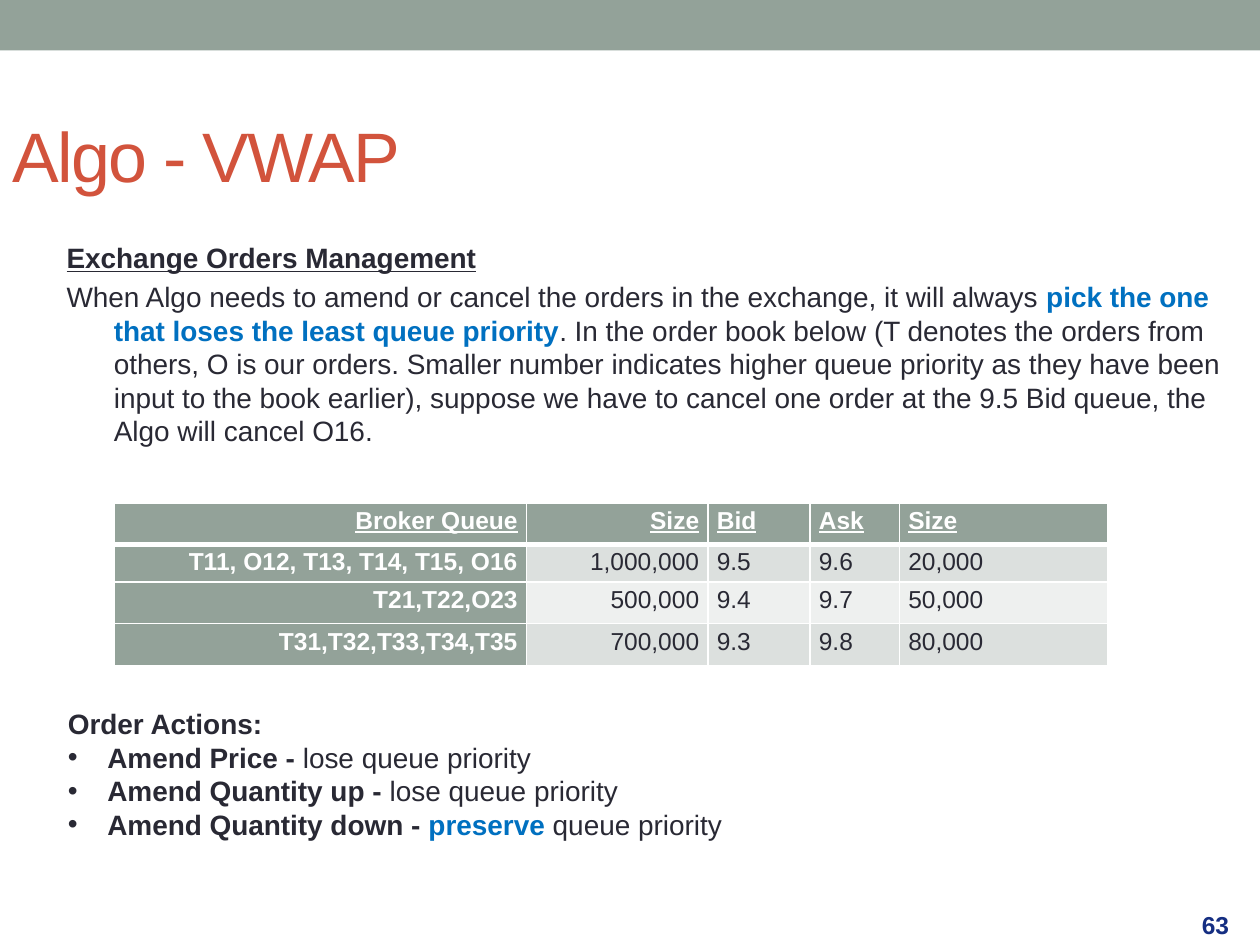
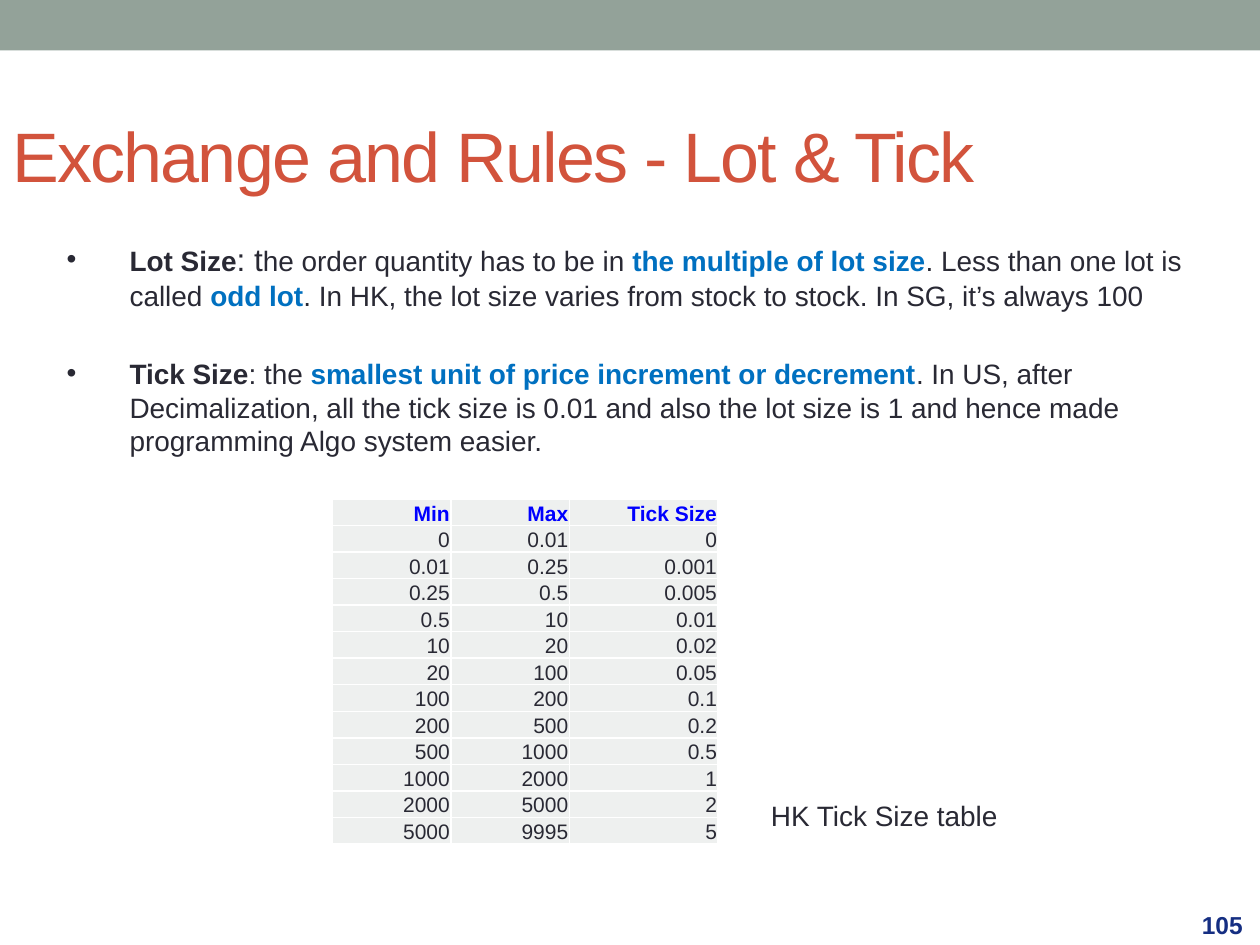
from lxml import etree
from pptx import Presentation
from pptx.dml.color import RGBColor
from pptx.enum.shapes import MSO_SHAPE
from pptx.enum.text import MSO_ANCHOR, PP_ALIGN
from pptx.oxml.ns import qn
from pptx.util import Inches, Pt

RECTANGLE = MSO_SHAPE.RECTANGLE
TOP, MIDDLE, BOTTOM = MSO_ANCHOR.TOP, MSO_ANCHOR.MIDDLE, MSO_ANCHOR.BOTTOM
LEFT, RIGHT = PP_ALIGN.LEFT, PP_ALIGN.RIGHT

SAGE = RGBColor(0x93, 0xA2, 0x99)
SAGE_MID = RGBColor(0xDC, 0xE0, 0xDE)
SAGE_PALE = RGBColor(0xEE, 0xF0, 0xEF)
RUST = RGBColor(0xD2, 0x53, 0x3C)
INK = RGBColor(0x29, 0x29, 0x34)
NAVY = RGBColor(0x15, 0x2E, 0x82)
HIGHLIGHT = RGBColor(0x00, 0x70, 0xC0)
BLUE = RGBColor(0x00, 0x00, 0xFF)
WHITE = RGBColor(0xFF, 0xFF, 0xFF)

FONT = "Arial"
COLUMNS, ROWS = 100, 75
BODY_LEFT, BODY_TOP, BODY_WIDTH = 4.3, 18.6, 94.5


def bold(text):
    return text, {"bold": True}


def key(text):
    """A highlighted phrase."""
    return text, {"bold": True, "color": HIGHLIGHT}


def style_font(font, size=None, color=None, bold=None, underline=None):
    if size:
        font.size = Pt(size)
    if color is not None:
        font.color.rgb = color
    if bold is not None:
        font.bold = bold
    if underline is not None:
        font.underline = underline


def draw_borders(cell, top=1, bottom=1):
    """White lines around a cell; widths in points."""
    properties = cell._tc.get_or_add_tcPr()
    for side, width in (("L", 1), ("R", 1), ("T", top), ("B", bottom)):
        line = etree.SubElement(properties, qn(f"a:ln{side}"), w=str(Pt(width)))
        fill = etree.SubElement(line, qn("a:solidFill"))
        etree.SubElement(fill, qn("a:srgbClr"), val=str(WHITE))


class Deck:
    def __init__(self):
        self.presentation = Presentation()
        self.presentation.slide_width = Inches(10)
        self.presentation.slide_height = Inches(7.5)
        self.column = self.presentation.slide_width / COLUMNS
        self.row = self.presentation.slide_height / ROWS
        self.slide = None

    def place(self, left, top, width, height):
        return (round(left * self.column), round(top * self.row),
                round(width * self.column), round(height * self.row))

    def new_slide(self, title, number):
        self.slide = self.presentation.slides.add_slide(
            self.presentation.slide_layouts[6])
        band = self.slide.shapes.add_shape(RECTANGLE, *self.place(0, 0, COLUMNS, 4))
        band.shadow.inherit = False
        band.fill.solid()
        band.fill.fore_color.rgb = SAGE
        band.line.fill.background()
        heading = self.text((0, 6.8, 88.3, 10.9), [[title]], anchor=MIDDLE,
                            size=40, color=RUST)
        heading.paragraphs[0].runs[0].font._element.set("spc", "-100")
        self.text((94.4, 71.4, 5.5, 3.9), [[str(number)]], anchor=MIDDLE,
                  size=14, color=NAVY, bold=True)

    def text(self, area, paragraphs, anchor=TOP, gap=0, indent=0, bullets_from=None,
             **style):
        """Write paragraphs of runs; a run is a string or a (string, style) pair."""
        frame = self.slide.shapes.add_textbox(*self.place(*area)).text_frame
        frame.word_wrap = True
        frame.vertical_anchor = anchor
        for index, runs in enumerate(paragraphs):
            paragraph = frame.paragraphs[0] if index == 0 else frame.add_paragraph()
            bulleted = bullets_from is not None and index >= bullets_from
            if indent and (bulleted or bullets_from is None):
                self.hang(paragraph, indent, bulleted)
            if index and gap:
                paragraph.space_before = Pt(gap)
            self.fill_paragraph(paragraph, runs, **style)
        return frame

    def hang(self, paragraph, indent, bulleted):
        properties = paragraph._p.get_or_add_pPr()
        margin = round(indent * self.column)
        properties.set("marL", str(margin))
        properties.set("indent", str(-margin))
        if bulleted:
            etree.SubElement(properties, qn("a:buFont"), typeface=FONT)
            etree.SubElement(properties, qn("a:buChar"), char="•")

    def fill_paragraph(self, paragraph, runs, size=16, color=INK, **style):
        paragraph.font.name = FONT
        style_font(paragraph.font, size, color, **style)
        for item in runs:
            words, run_style = (item, {}) if isinstance(item, str) else item
            run = paragraph.add_run()
            run.text = words
            style_font(run.font, **run_style)

    def table(self, left, top, widths, heights, rows, cell_look, alignments,
              margins, anchor=TOP, line_spacing=None, header_rule=1):
        """cell_look(row, column) gives the fill and the font style of a cell."""
        grid = self.slide.shapes.add_table(
            len(rows), len(widths),
            *self.place(left, top, sum(widths), sum(heights))).table
        grid.first_row = grid.horz_banding = False
        for column, width in zip(grid.columns, widths):
            column.width = round(width * self.column)
        for row, height in zip(grid.rows, heights):
            row.height = round(height * self.row)
        for r, values in enumerate(rows):
            for c, value in enumerate(values):
                cell = grid.cell(r, c)
                fill, style = cell_look(r, c)
                draw_borders(cell, top=header_rule if r == 1 else 1,
                             bottom=header_rule if r == 0 else 1)
                cell.fill.solid()
                cell.fill.fore_color.rgb = fill
                cell.vertical_anchor = anchor
                (cell.margin_left, cell.margin_top, cell.margin_right,
                 cell.margin_bottom) = map(Inches, margins)
                paragraph = cell.text_frame.paragraphs[0]
                paragraph.alignment = alignments[c]
                if line_spacing:
                    paragraph.line_spacing = line_spacing
                self.fill_paragraph(paragraph, [value], **style)


def order_book_look(row, column):
    if row == 0 or column == 0:
        return SAGE, {"size": 14, "color": WHITE, "bold": True, "underline": row == 0}
    return SAGE_MID if row % 2 else SAGE_PALE, {"size": 14, "bold": False}


def tick_look(row, column):
    header = row == 0
    return SAGE_PALE, {"size": 12, "color": BLUE if header else INK, "bold": header}


def vwap_slide(deck):
    deck.new_slide("Algo - VWAP", 63)
    deck.text((BODY_LEFT, BODY_TOP, BODY_WIDTH, 19.7), [
        [("Exchange Orders Management", {"bold": True, "underline": True})],
        ["When Algo needs to amend or cancel the orders in the exchange, it will always ",
         key("pick the one that loses the least queue priority"),
         ". In the order book below (T denotes the orders from others, O is our orders. "
         "Smaller number indicates higher queue priority as they have been input to the "
         "book earlier), suppose we have to cancel one order at the 9.5 Bid queue, the "
         "Algo will cancel O16."],
    ], gap=3.2, indent=3.75)
    deck.table(9.1, 39.9, [32.7, 14.4, 8.1, 7.1, 16.5], [3.3, 3, 3.3, 3.3], [
        ["Broker Queue", "Size", "Bid", "Ask", "Size"],
        ["T11, O12, T13, T14, T15, O16", "1,000,000", "9.5", "9.6", "20,000"],
        ["T21,T22,O23", "500,000", "9.4", "9.7", "50,000"],
        ["T31,T32,T33,T34,T35", "700,000", "9.3", "9.8", "80,000"],
    ], order_book_look, [RIGHT, RIGHT, LEFT, LEFT, LEFT], (0.07, 0, 0.07, 0),
        line_spacing=1.15, header_rule=3)
    deck.text((4.4, 55.6, 92.9, 11.8), [
        [bold("Order Actions:")],
        [bold("Amend Price - "), "lose queue priority"],
        [bold("Amend Quantity up - "), "lose queue priority"],
        [bold("Amend Quantity down - "), key("preserve "), "queue priority"],
    ], indent=3.13, bullets_from=1)


def lot_and_tick_slide(deck):
    deck.new_slide("Exchange and Rules - Lot & Tick", 105)
    deck.text((BODY_LEFT, BODY_TOP, BODY_WIDTH, 21.3), [
        [bold("Lot Size"), (": t", {"size": 18}), "he order quantity has to be in ",
         key("the multiple of lot size"), ". Less than one lot is called ",
         key("odd lot"),
         ". In HK, the lot size varies from stock to stock. In SG, it’s always 100"],
        [bold("Tick Size"), ": the ",
         key("smallest unit of price increment or decrement"),
         ". In US, after Decimalization, all the tick size is 0.01 and also the lot size "
         "is 1 and hence made programming Algo system easier."],
    ], gap=25.5, indent=5, bullets_from=0)

    limits = ["0", "0.01", "0.25", "0.5", "10", "20", "100", "200", "500", "1000",
              "2000", "5000", "9995"]
    ticks = ["0", "0.001", "0.005", "0.01", "0.02", "0.05", "0.1", "0.2", "0.5", "1",
             "2", "5"]
    bands = [["Min", "Max", "Tick Size"], *zip(limits, limits[1:], ticks)]
    deck.table(26.4, 39.6, [9.4, 9.4, 11.8], [27.4 / len(bands)] * len(bands), bands,
               tick_look, [RIGHT] * 3, (0.01, 0.01, 0.01, 0), anchor=BOTTOM)
    deck.text((60.2, 62.9, 26.8, 3.7), [["HK Tick Size table"]])


def main():
    deck = Deck()
    vwap_slide(deck)
    lot_and_tick_slide(deck)
    deck.presentation.save("out.pptx")


if __name__ == "__main__":
    main()
